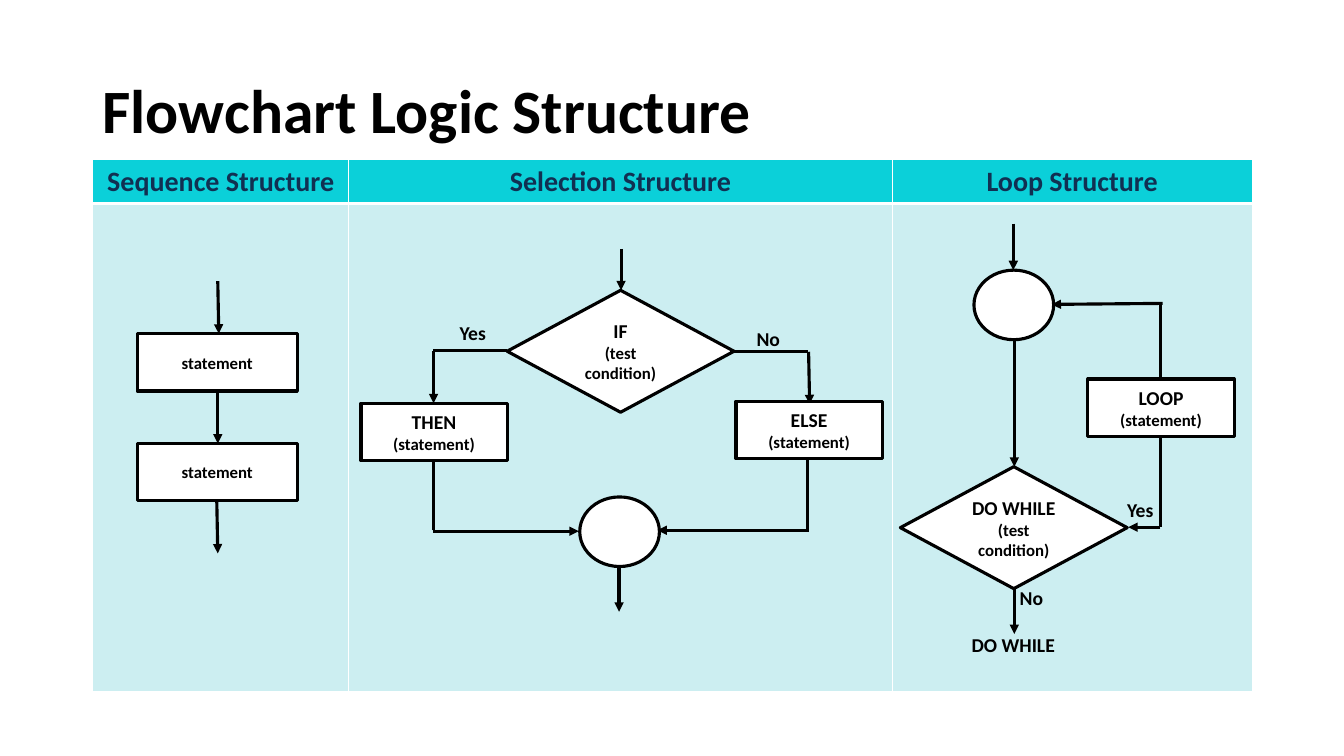
import pptx
import pptx.util
import pptx.dml.color
import pptx.enum.shapes
import pptx.enum.text
from lxml import etree
from pptx.oxml.ns import qn

Inches, Pt = pptx.util.Inches, pptx.util.Pt
Shape = pptx.enum.shapes.MSO_SHAPE
Align = pptx.enum.text.PP_ALIGN
Anchor = pptx.enum.text.MSO_ANCHOR
Color = pptx.dml.color.RGBColor.from_string

COLORS = {"ink": "000000", "paper": "FFFFFF", "head": "0BD0D9",
          "body": "CCEEF1", "navy": "113052"}


def write(frame, text, sizes, color="ink", align=Align.CENTER):
    """Fill a frame with bold text, one size for each line."""
    frame.text = text
    for para, size in zip(frame.paragraphs, sizes):
        para.alignment = align
        for run in para.runs:
            font = run.font
            font.name, font.size, font.bold = "Calibri", Pt(size), True
            font.color.rgb = Color(COLORS[color])


def border(cell, side, width):
    """Give one side of a cell a white line."""
    props = cell._tc.get_or_add_tcPr()
    line = etree.SubElement(props, qn("a:" + side), w=str(Pt(width)))
    fill = etree.SubElement(line, qn("a:solidFill"))
    etree.SubElement(fill, qn("a:srgbClr"), val=COLORS["paper"])


deck = pptx.Presentation()
deck.slide_width, deck.slide_height = Inches(13.33), Inches(7.5)
slide = deck.slides.add_slide(deck.slide_layouts[6])
shapes = slide.shapes

# Title
title = shapes.add_textbox(Inches(0.92), Inches(0.4), Inches(11.5), Inches(1.45))
frame = title.text_frame
frame.word_wrap = True
frame.vertical_anchor = Anchor.MIDDLE
write(frame, "Flowchart Logic Structure", [44], align=Align.LEFT)
frame.paragraphs[0].line_spacing = 0.9

# Table behind the three charts
heads = ["Sequence Structure", "Selection Structure", "Loop Structure"]
table = shapes.add_table(2, 3, Inches(0.92), Inches(1.58),
                         Inches(11.5), Inches(5.28)).table
for row, height in zip(table.rows, [0.44, 4.84]):
    row.height = Inches(height)
for col, width in enumerate([2.54, 5.39, 3.57]):
    table.columns[col].width = Inches(width)
    for row, (fill, top, low) in enumerate([("head", 1, 3), ("body", 3, 1)]):
        cell = table.cell(row, col)
        for side, weight in [("lnL", 1), ("lnR", 1), ("lnT", top), ("lnB", low)]:
            border(cell, side, weight)
        cell.fill.solid()
        cell.fill.fore_color.rgb = Color(COLORS[fill])
    write(table.cell(0, col).text_frame, heads[col], [20], "navy")

# Flow lines: start, end, arrowhead
flows = [
    # Sequence
    (2.16, 2.79, 2.17, 3.31, True),
    (2.16, 3.88, 2.16, 4.4, True),
    (2.15, 4.97, 2.16, 5.49, True),
    # Selection
    (6.16, 2.47, 6.16, 2.88, True),
    (5.03, 3.48, 4.29, 3.48, False),
    (4.3, 3.48, 4.3, 4, True),
    (4.3, 4.57, 4.3, 5.26, False),
    (4.29, 5.27, 5.74, 5.27, True),
    (8.01, 3.49, 7.27, 3.49, False),
    (8.02, 3.49, 8.03, 4.01, True),
    (8.01, 4.55, 8.01, 5.26, False),
    (8.02, 5.26, 6.52, 5.26, True),
    (6.14, 5.62, 6.14, 6.07, True),
    # Loop
    (10.05, 2.22, 10.05, 2.68, True),
    (10.06, 3.18, 10.06, 4.63, True),
    (10.06, 5.84, 10.06, 6.29, True),
    (11.51, 4.33, 11.51, 5.23, False),
    (11.51, 5.23, 11.19, 5.23, True),
    (11.51, 3.02, 11.51, 3.78, False),
    (11.53, 3.01, 10.43, 3.02, True),
]
for x1, y1, x2, y2, arrow in flows:
    flow = shapes.add_connector(pptx.enum.shapes.MSO_CONNECTOR.STRAIGHT,
                                Inches(x1), Inches(y1), Inches(x2), Inches(y2))
    flow.line.color.rgb = Color(COLORS["ink"])
    flow.line.width = Pt(2.25)
    if arrow:
        etree.SubElement(flow.line._get_or_add_ln(), qn("a:tailEnd"), type="triangle")
    etree.SubElement(flow._element.spPr, qn("a:effectLst"))

# Nodes: each kind has one size
step = (Shape.RECTANGLE, 1.59, 0.57)
box = (Shape.RECTANGLE, 1.45, 0.57)
test = (Shape.DIAMOND, 2.25, 1.21)
join = (Shape.OVAL, 0.79, 0.69)
nodes = [
    (step, 1.36, 3.31, "statement", [12]),
    (step, 1.36, 4.4, "statement", [12]),
    (test, 5.03, 2.88, "IF\n(test condition)", [14, 12]),
    (box, 3.58, 4, "THEN\n(statement)", [14, 12]),
    (box, 7.3, 3.98, "ELSE\n(statement)", [14, 12]),
    (join, 5.75, 4.93, "", []),
    (join, 9.66, 2.68, "", []),
    (box, 10.79, 3.76, "LOOP\n(statement)", [14, 12]),
    (test, 8.93, 4.63, "DO WHILE\n(test condition)", [14, 12]),
]
for (kind, width, height), left, top, text, sizes in nodes:
    node = shapes.add_shape(kind, Inches(left), Inches(top),
                            Inches(width), Inches(height))
    node.shadow.inherit = False
    node.fill.solid()
    node.fill.fore_color.rgb = Color(COLORS["paper"])
    node.line.color.rgb = Color(COLORS["ink"])
    node.line.width = Pt(2.25)
    node.text_frame.vertical_anchor = Anchor.MIDDLE
    write(node.text_frame, text, sizes)

# Branch labels
labels = [
    ("Yes", 4.46, 3.13, 0.46), ("No", 7.4, 3.19, 0.44),
    ("Yes", 11.08, 4.89, 0.46), ("No", 10.01, 5.76, 0.44),
    ("DO WHILE", 9.53, 6.23, 1.04),
]
for text, left, top, width in labels:
    label = shapes.add_textbox(Inches(left), Inches(top), Inches(width), Inches(0.34))
    label.text_frame.word_wrap = False
    write(label.text_frame, text, [14])

deck.save("out.pptx")
